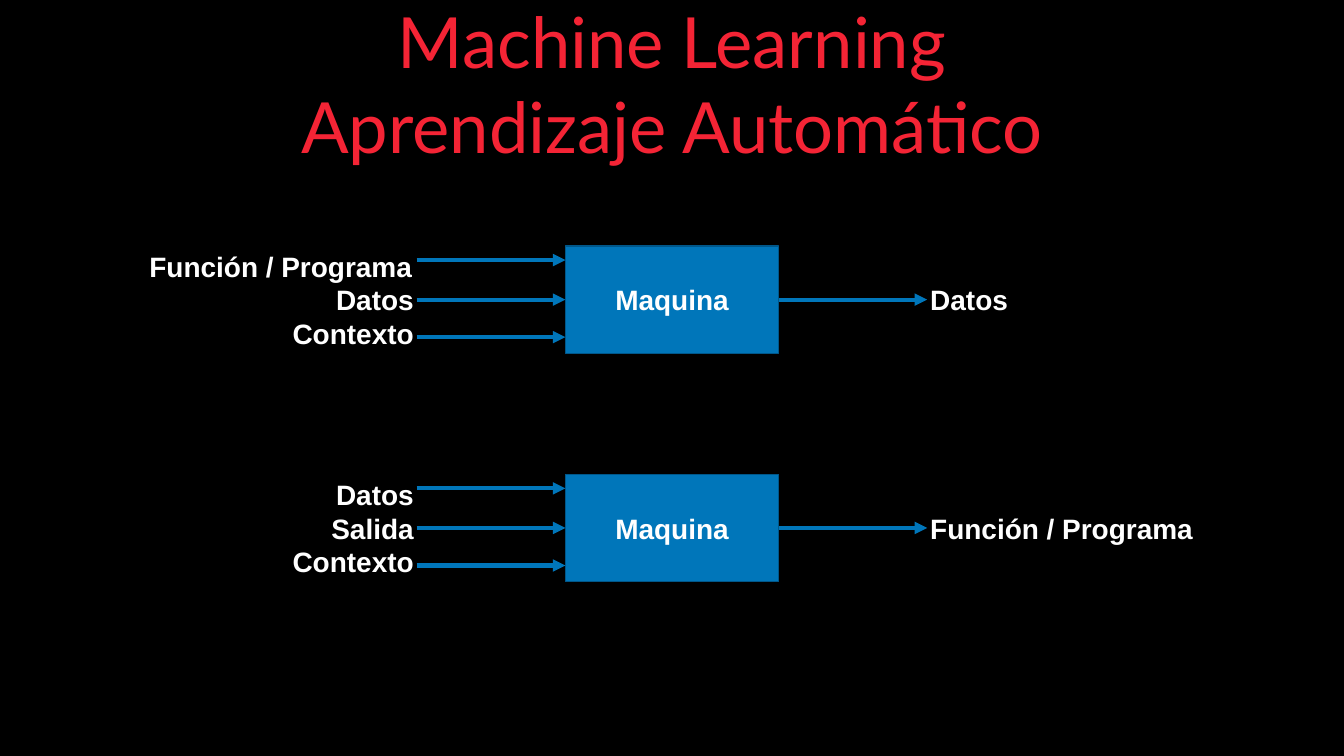
from lxml.etree import SubElement
from pptx import Presentation
from pptx.dml.color import RGBColor
from pptx.enum.shapes import MSO_CONNECTOR, MSO_SHAPE
from pptx.enum.text import MSO_ANCHOR, PP_ALIGN
from pptx.oxml.ns import qn
from pptx.util import Inches, Pt

TITLE = "Machine Learning\vAprendizaje Automático"
MACHINE = "Maquina"
LEFT, CENTER, RIGHT = PP_ALIGN.LEFT, PP_ALIGN.CENTER, PP_ALIGN.RIGHT
PROCESSES = [
    {"top": 4.88, "output": "Datos",
     "inputs": [("Función / Programa", CENTER), ("Datos", RIGHT), ("Contexto", RIGHT)]},
    {"top": 9.41, "output": "Función / Programa",
     "inputs": [("Datos", RIGHT), ("Salida", RIGHT), ("Contexto", RIGHT)]},
]
COLORS = {"background": "000000", "title": "F42435", "text": "FFFFFF",
          "blue": "0076BA", "border": "00578A"}
TITLE_FORMAT = {"name": "Lato", "size": Pt(100.8), "bold": False}
LABEL_FORMAT = {"name": "Arial", "size": Pt(40), "bold": True}

ROW_HEIGHT = 2.13
LABEL_WIDTH, MACHINE_WIDTH, ARROW_LENGTH = 5.4, 4.23, 2.95
INPUT_LEFT = 2.87
INPUT_RIGHT = INPUT_LEFT + LABEL_WIDTH
MACHINE_LEFT = INPUT_RIGHT + ARROW_LENGTH
MACHINE_RIGHT = MACHINE_LEFT + MACHINE_WIDTH
OUTPUT_LEFT = MACHINE_RIGHT + ARROW_LENGTH
MIDDLE = ROW_HEIGHT / 2
OUTER_ARROWS = (0.28, 1.81)
LEFT_SIDE, RIGHT_SIDE = 1, 3


def color(name):
    return RGBColor.from_string(COLORS[name])


def write(shape, lines, font_format, color_name):
    """Fill a shape with (text, alignment) paragraphs, centred vertically."""
    frame = shape.text_frame
    frame.word_wrap = True
    frame.vertical_anchor = MSO_ANCHOR.MIDDLE
    for side in ("left", "right", "top", "bottom"):
        setattr(frame, f"margin_{side}", Inches(0.06))
    for index, (text, alignment) in enumerate(lines):
        paragraph = frame.paragraphs[0] if index == 0 else frame.add_paragraph()
        paragraph.text = text
        paragraph.alignment = alignment
        for attribute, value in font_format.items():
            setattr(paragraph.font, attribute, value)
        paragraph.font.color.rgb = color(color_name)


def add_text(slide, box, lines, font_format=LABEL_FORMAT, color_name="text"):
    shape = slide.shapes.add_textbox(*map(Inches, box))
    write(shape, lines, font_format, color_name)
    return shape


def add_machine(slide, top):
    box = (MACHINE_LEFT, top, MACHINE_WIDTH, ROW_HEIGHT)
    machine = slide.shapes.add_shape(MSO_SHAPE.RECTANGLE, *map(Inches, box))
    machine.shadow.inherit = False
    machine.fill.solid()
    machine.fill.fore_color.rgb = color("blue")
    machine.line.color.rgb = color("border")
    machine.line.width = Pt(2)
    write(machine, [(MACHINE, CENTER)], LABEL_FORMAT, "text")
    return machine


def add_arrow(slide, left, y):
    arrow = slide.shapes.add_connector(
        MSO_CONNECTOR.STRAIGHT, *map(Inches, (left, y, left + ARROW_LENGTH, y)))
    arrow.line.color.rgb = color("blue")
    arrow.line.width = Pt(6)
    SubElement(arrow.line._get_or_add_ln(), qn("a:tailEnd"), type="triangle")
    SubElement(arrow._element.spPr, qn("a:effectLst"))
    return arrow


def add_process(slide, top, inputs, output):
    machine = add_machine(slide, top)
    input_label = add_text(slide, (INPUT_LEFT, top, LABEL_WIDTH, ROW_HEIGHT), inputs)
    output_label = add_text(slide, (OUTPUT_LEFT, top, LABEL_WIDTH, ROW_HEIGHT),
                            [(output, LEFT)])
    for offset in OUTER_ARROWS:
        add_arrow(slide, INPUT_RIGHT, top + offset)
    for left, source, target in ((INPUT_RIGHT, input_label, machine),
                                 (MACHINE_RIGHT, machine, output_label)):
        arrow = add_arrow(slide, left, top + MIDDLE)
        arrow.begin_connect(source, RIGHT_SIDE)
        arrow.end_connect(target, LEFT_SIDE)


def main():
    presentation = Presentation()
    presentation.slide_width = Inches(26.67)
    presentation.slide_height = Inches(15)
    slide = presentation.slides.add_slide(presentation.slide_layouts[6])
    slide.background.fill.solid()
    slide.background.fill.fore_color.rgb = color("background")
    add_text(slide, (1.85, 0.39, 22.97, 2.5), [(TITLE, CENTER)], TITLE_FORMAT, "title")
    for process in PROCESSES:
        add_process(slide, **process)
    presentation.save("out.pptx")


if __name__ == "__main__":
    main()
